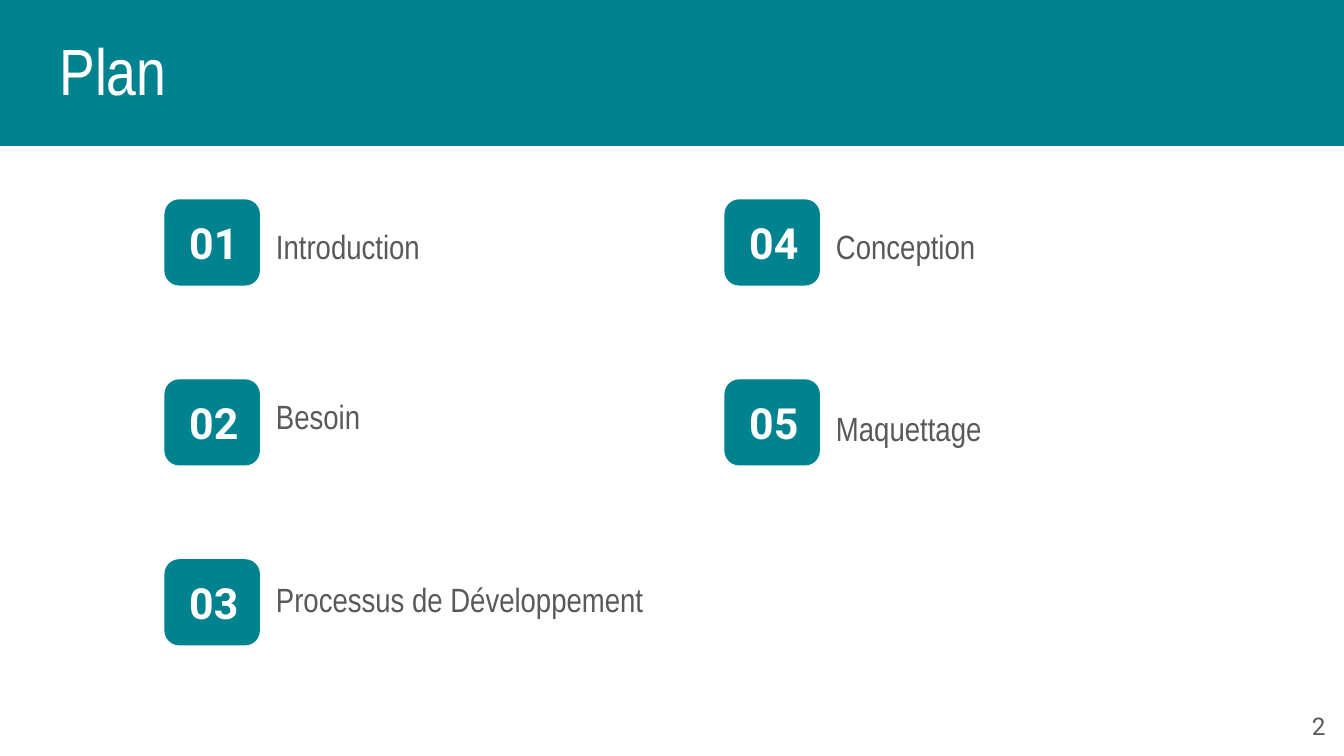
from pptx import Presentation
from pptx.dml.color import RGBColor
from pptx.enum.shapes import MSO_SHAPE
from pptx.enum.text import MSO_ANCHOR, MSO_AUTO_SIZE, PP_ALIGN
from pptx.util import Pt

TITLE = "Plan"
PAGE_NUMBER = "2"
# Each column lists (label, label width, label drop below the badge top, line spacing)
COLUMNS = [
    [
        ("Introduction", 183, 3.6, 1.15),
        ("Besoin", 288, 1.4, 1.0),
        ("Processus de Développement", 219, 2.9, 1.0),
    ],
    [
        ("Conception", 183, 3.6, 1.15),
        ("Maquettage", 183, 4.3, 1.15),
    ],
]

THEME = {
    "teal": RGBColor(0x00, 0x83, 0x8F),
    "white": RGBColor(0xFF, 0xFF, 0xFF),
    "grey": RGBColor(0x59, 0x59, 0x59),
    "text_font": "Arial Narrow",
    "number_font": "Roboto",
    "title_size": 35,
    "number_size": 23,
    "label_size": 18,
    "page_size": 13,
}

PAGE_WIDTH, PAGE_HEIGHT = 720, 405
LEFT, TOP = 88.5, 107.2
COLUMN_PITCH, ROW_PITCH = 300, 96.4
BADGE_WIDTH, BADGE_HEIGHT = 50.4, 45.4
LABEL_OFFSET = 52.3
INSET = 7.2


def place(shape, left, top, width, height):
    shape.left, shape.top = Pt(left), Pt(top)
    shape.width, shape.height = Pt(width), Pt(height)


def write(shape, text, *, font, size, color, bold=False, align=PP_ALIGN.LEFT,
          anchor=MSO_ANCHOR.TOP, spacing=1.0, fit=MSO_AUTO_SIZE.NONE):
    frame = shape.text_frame
    frame.word_wrap = True
    frame.auto_size = fit
    frame.vertical_anchor = anchor
    frame.margin_left = frame.margin_right = Pt(INSET)
    frame.margin_top = frame.margin_bottom = Pt(INSET)
    para = frame.paragraphs[0]
    para.alignment = align
    para.line_spacing = spacing
    span = para.add_run()
    span.text = text
    span.font.name = font
    span.font.size = Pt(size)
    span.font.bold = bold
    span.font.color.rgb = color


def add_text(page, text, left, top, width, height, **style):
    box = page.shapes.add_textbox(Pt(left), Pt(top), Pt(width), Pt(height))
    write(box, text, **style)


def add_teal(page, kind, left, top, width, height):
    shape = page.shapes.add_shape(kind, Pt(left), Pt(top), Pt(width), Pt(height))
    shape.shadow.inherit = False
    shape.fill.solid()
    shape.fill.fore_color.rgb = THEME["teal"]
    shape.line.color.rgb = THEME["teal"]
    shape.line.width = Pt(0.75)
    return shape


def add_header(page):
    band = add_teal(page, MSO_SHAPE.RECTANGLE, -2, -1.4, 722, 79.2)
    title = page.shapes.title
    band.element.addnext(title.element)  # the title lies over the band
    place(title, 24.6, 8.6, 685.4, 57.6)
    write(title, TITLE, font=THEME["text_font"], size=THEME["title_size"],
          color=THEME["white"], anchor=MSO_ANCHOR.MIDDLE)


def add_entry(page, number, left, top, label, width, drop, spacing):
    badge = add_teal(page, MSO_SHAPE.ROUNDED_RECTANGLE, left, top,
                     BADGE_WIDTH, BADGE_HEIGHT)
    badge.adjustments[0] = 0.167
    add_text(page, f"{number:02}", left + 5.8, top + 1.7, 43.2, 42.5,
             font=THEME["number_font"], size=THEME["number_size"],
             color=THEME["white"], bold=True, fit=MSO_AUTO_SIZE.SHAPE_TO_FIT_TEXT)
    add_text(page, label, left + LABEL_OFFSET, top + drop, width, 36,
             font=THEME["text_font"], size=THEME["label_size"],
             color=THEME["grey"], spacing=spacing)


def main():
    deck = Presentation()
    deck.slide_width, deck.slide_height = Pt(PAGE_WIDTH), Pt(PAGE_HEIGHT)
    page = deck.slides.add_slide(deck.slide_layouts.get_by_name("Title Only"))
    add_header(page)

    number = 0
    for column, entries in enumerate(COLUMNS):
        for row, entry in enumerate(entries):
            number += 1
            add_entry(page, number, LEFT + column * COLUMN_PITCH,
                      TOP + row * ROW_PITCH, *entry)

    add_text(page, PAGE_NUMBER, 674, 373.7, 43.2, 31, font=THEME["number_font"],
             size=THEME["page_size"], color=THEME["grey"], align=PP_ALIGN.RIGHT)
    deck.save("out.pptx")


if __name__ == "__main__":
    main()
